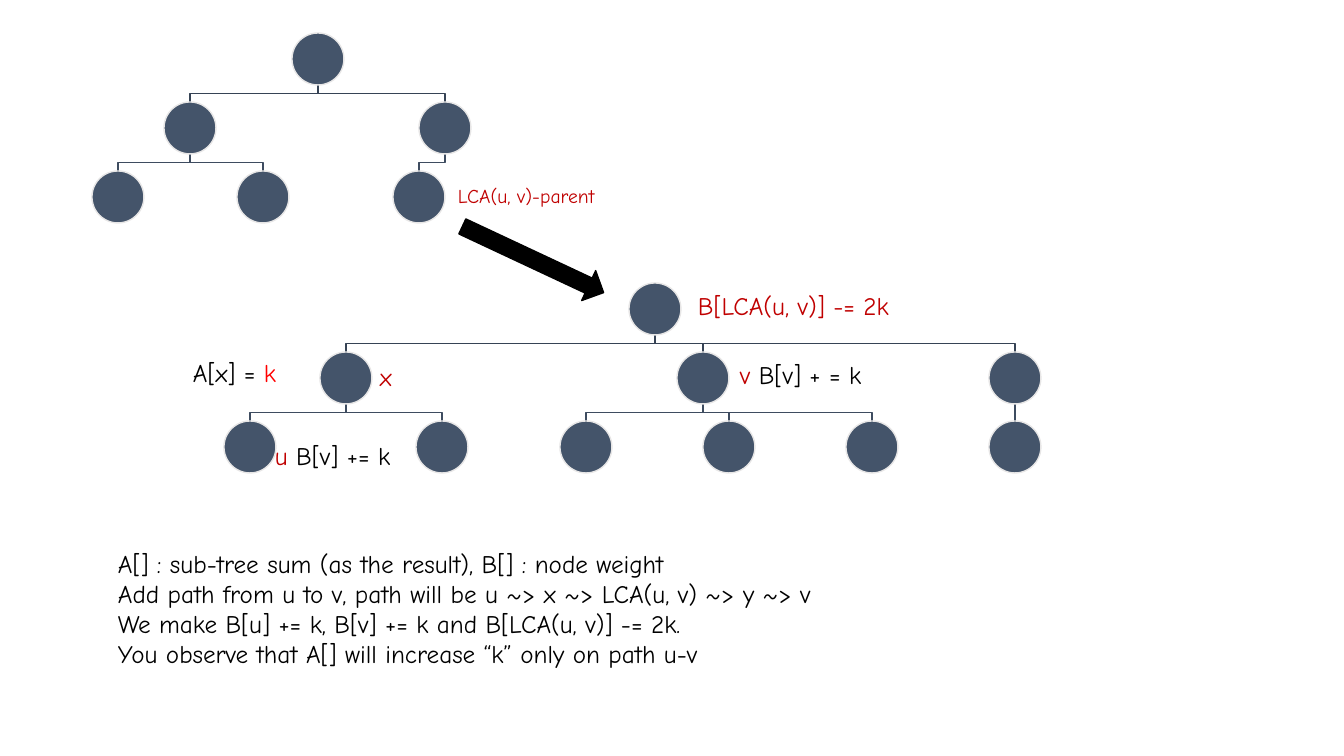
from dataclasses import dataclass

from pptx import Presentation
from pptx import util as u
from pptx.dml.color import RGBColor
from pptx.enum import shapes, text
from pptx.oxml.ns import qn

EMU_PER_PX = 914400 / 100.8
NODE = 52        # node diameter
LEVEL = 69       # drop from one tree level to the next


@dataclass(frozen=True)
class Theme:
    font: str = "Comic Neue"
    body: int = 18
    small: int = 14
    node: str = "44546A"
    ring: str = "E7E6E6"
    edges: tuple = ("364355", "3E4C60")   # by level of the parent
    ink: str = "000000"
    mark: str = "C00000"
    bright: str = "FF0000"


THEME = Theme()

# Each tree node is (centre x, children)
UPPER_TREE = (318, [
    (190, [(118, []), (263, [])]),
    (445, [(419, [])]),
])
LOWER_TREE = (655, [
    (346, [(250, []), (442, [])]),
    (703, [(586, []), (729, []), (872, [])]),
    (1015, [(1015, [])]),
])

SUMMARY = [
    "A[] : sub-tree sum (as the result), B[] : node weight",
    "Add path from u to v, path will be u ~> x ~> LCA(u, v) ~> y ~> v",
    "We make B[u] += k, B[v] += k and B[LCA(u, v)] -= 2k.",
    "You observe that A[] will increase “k” only on path u-v",
]


def px(value):
    return u.Emu(round(value * EMU_PER_PX))


def rgb(value):
    return RGBColor.from_string(value)


def style(shape, fill, line):
    shape.shadow.inherit = False
    shape.fill.solid()
    shape.fill.fore_color.rgb = rgb(fill)
    shape.line.color.rgb = rgb(line)
    shape.line.width = u.Pt(1)


def add_edge(slide, parent_x, child_x, top, color):
    """Link a parent's foot to a child's head with a squared bend."""
    bottom = top + LEVEL - NODE
    middle = (top + bottom) / 2
    if parent_x == child_x:
        edge = slide.shapes.add_connector(
            shapes.MSO_CONNECTOR.STRAIGHT,
            px(parent_x), px(top), px(child_x), px(bottom))
        edge._element.spPr.append(
            edge._element.makeelement(qn("a:effectLst"), {}))
    else:
        outline = slide.shapes.build_freeform(px(parent_x), px(top))
        bends = [(parent_x, middle), (child_x, middle), (child_x, bottom)]
        outline.add_line_segments(
            [(px(x), px(y)) for x, y in bends], close=False)
        edge = outline.convert_to_shape()
        edge.shadow.inherit = False
        edge.fill.background()
    edge.line.color.rgb = rgb(color)
    edge.line.width = u.Pt(1)


def add_tree(slide, tree, top, depth=0):
    center, children = tree
    for child in children:
        add_edge(slide, center, child[0], top + NODE, THEME.edges[depth])
        add_tree(slide, child, top + LEVEL, depth + 1)
    node = slide.shapes.add_shape(
        shapes.MSO_SHAPE.OVAL,
        px(center - NODE / 2), px(top), px(NODE), px(NODE))
    style(node, THEME.node, THEME.ring)


def add_text(slide, box, lines, size=THEME.body):
    """Write lines of (words, colour) runs in one paragraph."""
    label = slide.shapes.add_textbox(*map(px, box))
    frame = label.text_frame
    frame.word_wrap = True
    paragraph = frame.paragraphs[0]
    paragraph.font.name = THEME.font
    paragraph.font.size = u.Pt(size)
    for number, line in enumerate(lines):
        if number:
            paragraph.add_line_break()
        for words, color in line:
            run = paragraph.add_run()
            run.text = words
            run.font.color.rgb = rgb(color)
    return frame


def add_node_label(slide, box, runs, size=THEME.body, inset=7):
    frame = add_text(slide, box, [runs], size)
    frame.vertical_anchor = text.MSO_ANCHOR.MIDDLE
    frame.margin_left = frame.margin_right = px(inset)
    frame.margin_top = frame.margin_bottom = px(inset)
    frame.paragraphs[0].line_spacing = 0.9


def add_pointer(slide, box, angle):
    pointer = slide.shapes.add_shape(
        shapes.MSO_SHAPE.RIGHT_ARROW, *map(px, box))
    pointer.rotation = angle
    style(pointer, THEME.ink, THEME.ink)


def main():
    deck = Presentation()
    deck.slide_width, deck.slide_height = px(1344), px(756)
    slide = deck.slides.add_slide(deck.slide_layouts[6])
    ink, mark = THEME.ink, THEME.mark

    # Trees
    add_tree(slide, LOWER_TREE, 283)
    add_tree(slide, UPPER_TREE, 33)

    # Node labels
    add_node_label(slide, (691, 281, 224, NODE),
                   [("B[LCA(u, v)] -= 2k", mark)])
    add_node_label(slide, (373, 352, 78, NODE), [("x", mark)])
    add_node_label(slide, (268, 431, 176, NODE),
                   [("u", mark), (" B[v] += k", ink)])
    add_node_label(slide, (733, 350, 181, NODE),
                   [("v", mark), (" B[v] + = k", ink)])
    add_node_label(slide, (452, 171, 209, NODE),
                   [("LCA(u, v)-parent", mark)], THEME.small, inset=6)

    # Pointer from the parent to the LCA
    add_pointer(slide, (455, 243, 156, 33), 25.1)

    # Sub-tree sum and explanation
    notes = [
        add_text(slide, (183, 352, 124, 40),
                 [[("A[x] = ", ink), ("k", THEME.bright)]]),
        add_text(slide, (108, 543, 822, 132),
                 [[(line, ink)] for line in SUMMARY]),
    ]
    for frame in notes:
        frame.auto_size = text.MSO_AUTO_SIZE.SHAPE_TO_FIT_TEXT

    deck.save("out.pptx")


main()
